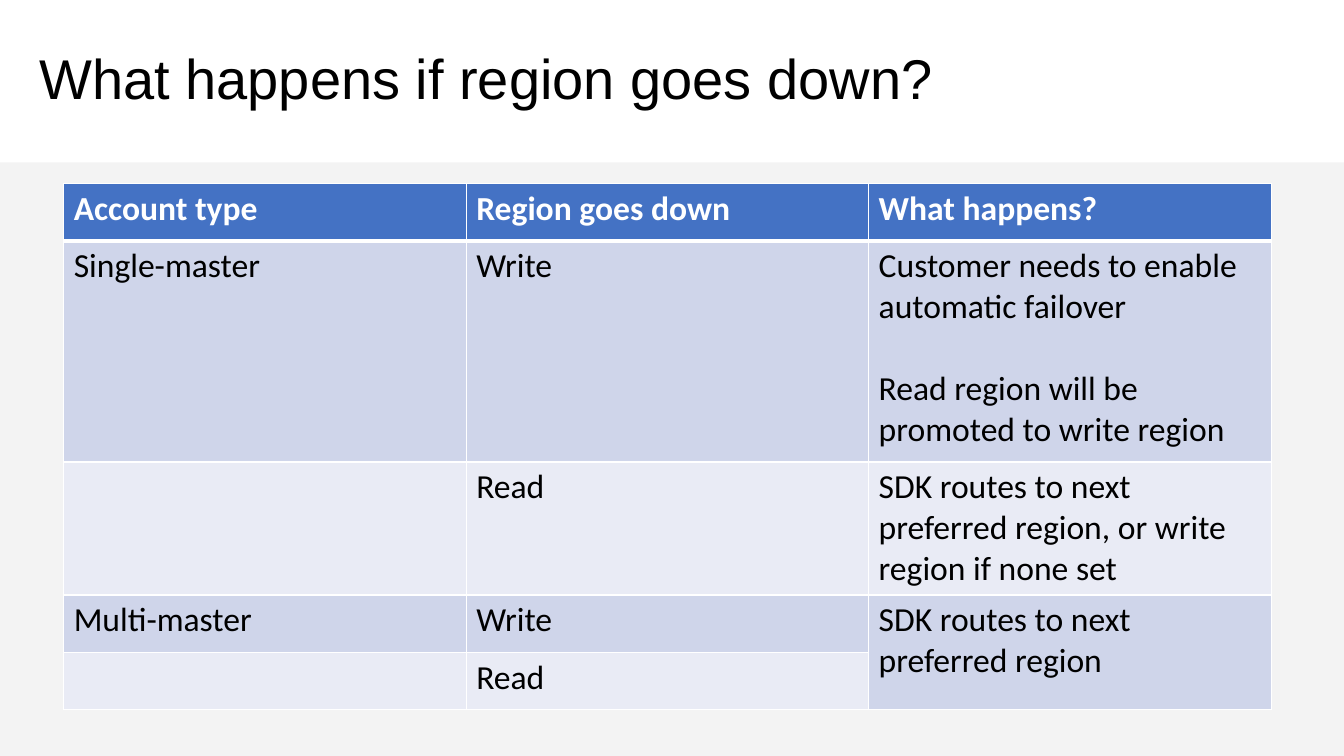
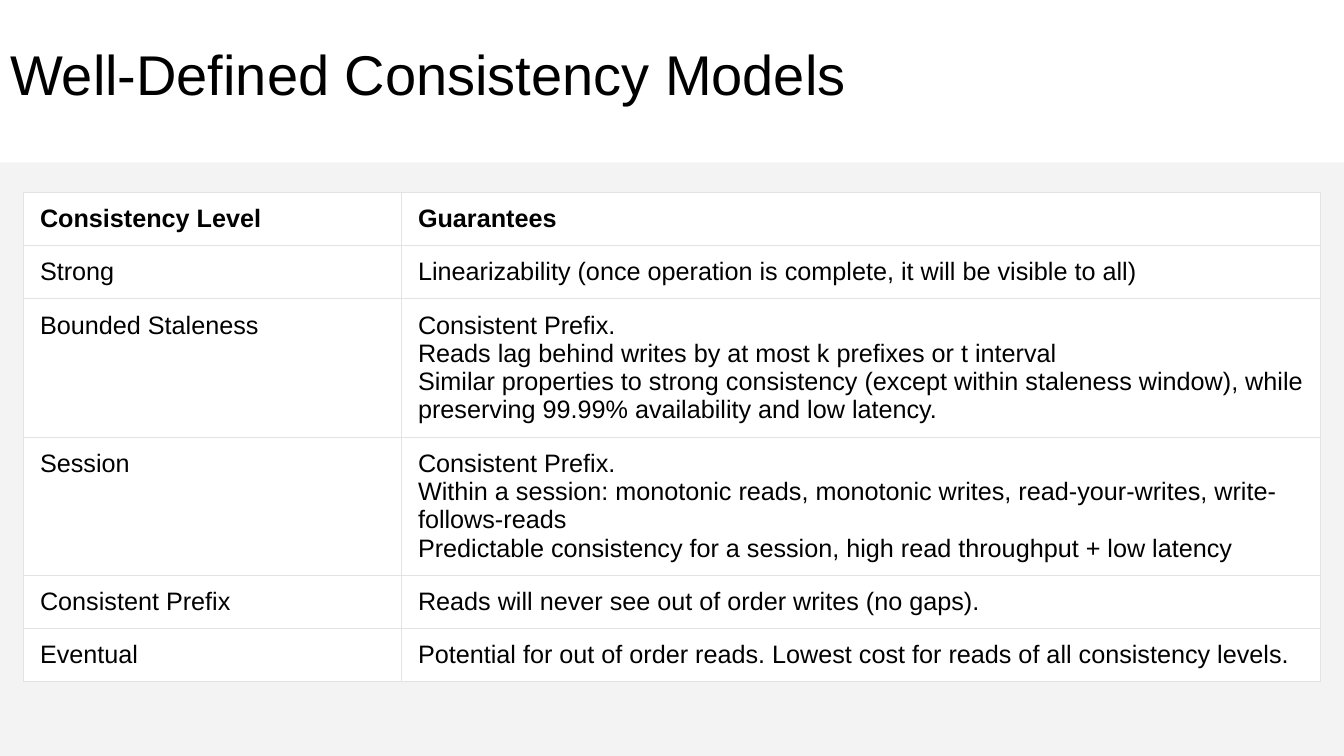
import pptx
import pptx.util
import pptx.dml.color
import pptx.enum.shapes
import pptx.enum.text
import lxml.etree
from pptx.oxml.ns import qn

Pt = pptx.util.Pt
WIDE, HIGH = 960, 540
BAND_TOP = 116

HUES = {
    "text": "000000", "white": "FFFFFF", "band": "F2F2F2",
    "head": "4472C4", "odd": "CFD5EA", "even": "E9EBF5", "rule": "E3E3E3",
}

# Content: each cell is a string, or a tuple of paragraphs
SLIDES = [
    {
        "title": "What happens if region goes down?",
        "box": (21, 23, 918, 70.5),
        "rows": [
            ("Account type", "Region goes down", "What happens?"),
            ("Single-master", "Write",
             ("Customer needs to enable automatic failover",
              "Read region will be promoted to write region")),
            ("", "Read", "SDK routes to next preferred region, "
             "or write region if none set"),
            ("Multi-master", "Write", "SDK routes to next preferred region"),
            ("", "Read", ""),
        ],
        "merge": [(3, 2, 4, 2)],
        "at": (45.5, 131),
        "cols": [287.5] * 3,
        "highs": [41, 158, 95, 41, 41],
        "style": {
            "font": "Calibri", "size": 24, "gap": 29.3, "pad": (7.2, 3.6),
            "head": "head", "ink": "white", "fills": ("odd", "even"),
            "line": "white", "thin": 1, "under": 3, "anchor": "TOP",
        },
    },
    {
        "title": "Well-Defined Consistency Models",
        "box": (0, 10, 810, 90),
        "rows": [
            ("Consistency Level", "Guarantees"),
            ("Strong", "Linearizability (once operation is complete, "
             "it will be visible to all)"),
            ("Bounded Staleness",
             ("Consistent Prefix.",
              "Reads lag behind writes by at most k prefixes or t interval",
              "Similar properties to strong consistency (except within "
              "staleness window), while preserving 99.99% availability "
              "and low latency.")),
            ("Session",
             ("Consistent Prefix.",
              "Within a session: monotonic reads, monotonic writes, "
              "read-your-writes, write-follows-reads",
              "Predictable consistency for a session, high read "
              "throughput + low latency")),
            ("Consistent Prefix",
             "Reads will never see out of order writes (no gaps)."),
            ("Eventual", "Potential for out of order reads. Lowest cost for "
             "reads of all consistency levels."),
        ],
        "merge": [],
        "at": (16.6, 137.2),
        "cols": [270, 656.5],
        "highs": [38.1, 38.1, 98.6, 98.6, 38.1, 38.1],
        "style": {
            "font": "Arial", "size": 18, "gap": 0, "pad": (12, 9),
            "head": "white", "ink": "text", "fills": ("white", "white"),
            "line": "rule", "thin": 0.75, "under": 0.75, "anchor": "BOTTOM",
        },
    },
]


def paint(fill, name):
    fill.solid()
    fill.fore_color.rgb = pptx.dml.color.RGBColor.from_string(HUES[name])


def style_font(para, face, size, ink, bold=False):
    for run in para.runs:
        font = run.font
        font.name, font.size, font.bold = face, Pt(size), bold
        font.color.rgb = pptx.dml.color.RGBColor.from_string(HUES[ink])


def add_band(slide, layout):
    """Put the grey band behind everything on the shared layout."""
    band = slide.shapes.add_shape(
        pptx.enum.shapes.MSO_SHAPE.RECTANGLE,
        0, Pt(BAND_TOP), Pt(WIDE), Pt(HIGH - BAND_TOP))
    band.shadow.inherit = False
    band.line.fill.background()
    paint(band.fill, "band")
    tint = band.element.spPr.find(".//" + qn("a:srgbClr"))
    lxml.etree.SubElement(tint, qn("a:alpha"), val="89000")
    layout.shapes.element.insert(2, band.element)


def set_title(slide, text, box):
    title = slide.shapes.title
    title.left, title.top, title.width, title.height = map(Pt, box)
    frame = title.text_frame
    frame.text = text
    frame.word_wrap = True
    frame.auto_size = pptx.enum.text.MSO_AUTO_SIZE.NONE
    frame.vertical_anchor = pptx.enum.text.MSO_ANCHOR.MIDDLE
    para = frame.paragraphs[0]
    para.alignment = pptx.enum.text.PP_ALIGN.LEFT
    para.line_spacing = 0.9
    style_font(para, "Arial", 40, "text")


def set_lines(cell, hue, widths):
    """Draw the cell borders; widths maps each side to points."""
    props = cell._tc.get_or_add_tcPr()
    for spot, side in enumerate("LRTB"):
        line = lxml.etree.Element(qn("a:ln" + side), w=str(Pt(widths[side])))
        fill = lxml.etree.SubElement(line, qn("a:solidFill"))
        lxml.etree.SubElement(fill, qn("a:srgbClr"), val=HUES[hue])
        props.insert(spot, line)


def fill_cell(cell, text, row, look):
    head = row == 0
    paras = (text,) if isinstance(text, str) else text
    frame = cell.text_frame
    frame.text = "\n".join(paras)
    for spot, para in enumerate(frame.paragraphs):
        para.space_before = Pt(look["gap"] if spot else 0)
        style_font(para, look["font"], look["size"],
                   look["ink"] if head else "text", head)
    side, edge = map(Pt, look["pad"])
    cell.margin_left = cell.margin_right = side
    cell.margin_top = cell.margin_bottom = edge
    anchor = look["anchor"] if head else "TOP"
    cell.vertical_anchor = pptx.enum.text.MSO_ANCHOR[anchor]
    paint(cell.fill, look["head"] if head else look["fills"][(row - 1) % 2])
    thin, under = look["thin"], look["under"]
    set_lines(cell, look["line"], {
        "L": thin, "R": thin,
        "T": under if row == 1 else thin,
        "B": under if head else thin})


def add_grid(slide, data):
    rows, cols, highs = data["rows"], data["cols"], data["highs"]
    left, top = data["at"]
    grid = slide.shapes.add_table(
        len(rows), len(cols), Pt(left), Pt(top),
        Pt(sum(cols)), Pt(sum(highs))).table
    for col, width in zip(grid.columns, cols):
        col.width = Pt(width)
    for row, high in zip(grid.rows, highs):
        row.height = Pt(high)
    for r, texts in enumerate(rows):
        for c, text in enumerate(texts):
            fill_cell(grid.cell(r, c), text, r, data["style"])
    for r, c, last_r, last_c in data["merge"]:
        grid.cell(r, c).merge(grid.cell(last_r, last_c))


def main():
    deck = pptx.Presentation()
    deck.slide_width, deck.slide_height = Pt(WIDE), Pt(HIGH)
    layout = deck.slide_layouts.get_by_name("Title Only")
    for spot, data in enumerate(SLIDES):
        slide = deck.slides.add_slide(layout)
        if spot == 0:
            add_band(slide, layout)
        set_title(slide, data["title"], data["box"])
        add_grid(slide, data)
    deck.save("out.pptx")


if __name__ == "__main__":
    main()
